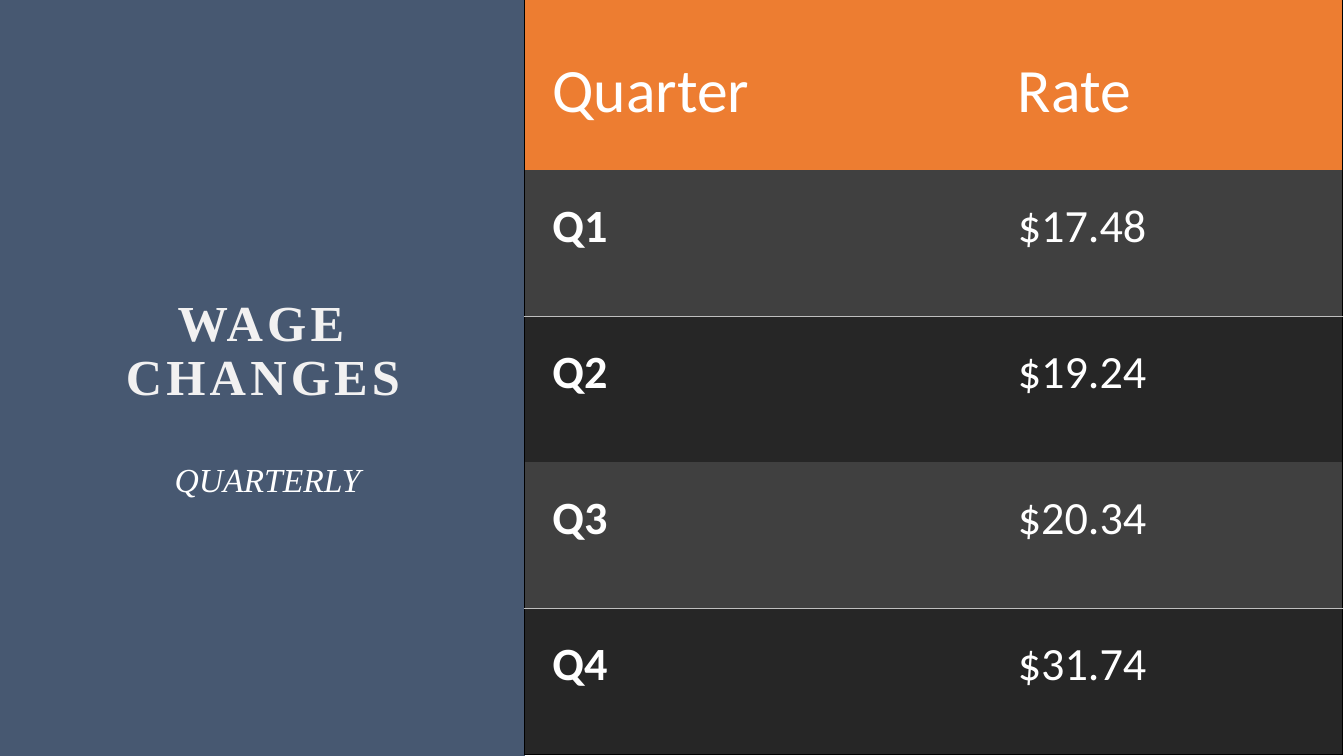
from typing import Any, NamedTuple

from lxml import etree
from pptx import Presentation
from pptx import util as u
from pptx.dml.color import RGBColor
from pptx.enum import shapes, text
from pptx.oxml import ns

COLORS = {
    "panel": "475871",
    "title": "F2F1F1",
    "white": "FFFFFF",
    "header": "ED7D31",
    "odd": "404040",
    "even": "262626",
    "frame": "000000",
    "rule": "BFBFBF",
}
SERIF, SANS = "Times New Roman", "Calibri"


class Frame(NamedTuple):
    left: float
    top: float
    width: float
    height: float


class Wage(NamedTuple):
    quarter: str
    rate: str


HEADING = Wage("Quarter", "Rate")
WAGES = [
    Wage("Q1", "$17.48"),
    Wage("Q2", "$19.24"),
    Wage("Q3", "$20.34"),
    Wage("Q4", "$31.74"),
]
COLUMN_WIDTHS = (11.73, 8.89)
HEADER_HEIGHT, ROW_HEIGHT = 4.34, 3.68


def write(frame: Any, wording: str, *, size: float, font: str = SANS,
          color: str = "white", bold: bool = False, italic: bool = False,
          align: Any = text.PP_ALIGN.LEFT, tracking: float = 0) -> Any:
    """Put one formatted run in a text frame and return its paragraph."""
    para = frame.paragraphs[0]
    para.alignment = align
    span = para.add_run()
    span.text = wording
    span.font.size = u.Pt(size)
    span.font.name = font
    span.font.bold = bold
    span.font.italic = italic
    span.font.color.rgb = RGBColor.from_string(COLORS[color])
    if tracking:
        span.font._element.set("spc", str(int(tracking * 100)))
    return para


def place(box: Any, frame: Frame, anchor: Any) -> None:
    """Move a placeholder and fix how its text sits."""
    box.left, box.top, box.width, box.height = map(u.Cm, frame)
    box.text_frame.auto_size = text.MSO_AUTO_SIZE.NONE
    box.text_frame.word_wrap = True
    box.text_frame.vertical_anchor = anchor


def set_borders(cell: Any, borders: dict[str, str]) -> None:
    """Draw the named sides of a cell and clear the others."""
    properties = cell._tc.get_or_add_tcPr()
    for side in "LRTB":
        line = etree.SubElement(properties, ns.qn(f"a:ln{side}"), w=str(u.Pt(1)))
        if side in borders:
            fill = etree.SubElement(line, ns.qn("a:solidFill"))
            etree.SubElement(fill, ns.qn("a:srgbClr"), val=COLORS[borders[side]])
        else:
            etree.SubElement(line, ns.qn("a:noFill"))


def borders_at(row: int, column: int) -> dict[str, str]:
    """Black frame around the table, grey rules inside each pair of rows."""
    borders = {"L": "frame"} if column == 0 else {"R": "frame"}
    if row == 0:
        borders["T"] = "frame"
    elif row % 2:
        borders["B"] = "rule"
    else:
        borders["T"] = "rule"
    if row == len(WAGES):
        borders["B"] = "frame"
    return borders


def add_panel(page: Any) -> None:
    panel = page.shapes.add_shape(
        shapes.MSO_SHAPE.RECTANGLE, 0, 0, u.Cm(13.23), u.Cm(19.05))
    panel.shadow.inherit = False
    panel.fill.solid()
    panel.fill.fore_color.rgb = RGBColor.from_string(COLORS["panel"])
    panel.line.fill.background()
    page.shapes.title.element.addprevious(panel.element)  # send to back


def add_headings(page: Any) -> None:
    title, body = page.shapes.title, page.placeholders[1]
    center = text.PP_ALIGN.CENTER

    place(title, Frame(2.39, 1.91, 8.48, 8.46), text.MSO_ANCHOR.BOTTOM)
    para = write(title.text_frame, "WAGE CHANGES", size=36, font=SERIF,
                 color="title", bold=True, align=center, tracking=3)
    para.line_spacing = 0.9

    place(body, Frame(2.59, 11.43, 8.31, 5.72), text.MSO_ANCHOR.TOP)
    para = write(body.text_frame, "QUARTERLY", size=24, font=SERIF,
                 italic=True, align=center)
    para.space_before = u.Pt(10)
    properties = para._p.get_or_add_pPr()
    properties.set("marL", "0")
    properties.set("indent", "0")
    etree.SubElement(properties, ns.qn("a:buNone"))


def add_wage_table(page: Any) -> None:
    rows = [HEADING, *WAGES]
    height = HEADER_HEIGHT + ROW_HEIGHT * len(WAGES)
    table = page.shapes.add_table(
        len(rows), len(COLUMN_WIDTHS), u.Cm(13.21), u.Cm(-0.05),
        u.Cm(sum(COLUMN_WIDTHS)), u.Cm(height)).table
    table.first_row = table.horz_banding = False
    for column, width in zip(table.columns, COLUMN_WIDTHS):
        column.width = u.Cm(width)

    for r, wage in enumerate(rows):
        is_header = r == 0
        table.rows[r].height = u.Cm(HEADER_HEIGHT if is_header else ROW_HEIGHT)
        fill = "header" if is_header else "odd" if r % 2 else "even"
        for c, wording in enumerate(wage):
            cell = table.cell(r, c)
            cell.margin_left = cell.margin_right = cell.margin_top = u.Cm(0.71)
            cell.margin_bottom = u.Cm(0.36)
            cell.vertical_anchor = (
                text.MSO_ANCHOR.MIDDLE if is_header else text.MSO_ANCHOR.TOP)
            set_borders(cell, borders_at(r, c))
            cell.fill.solid()
            cell.fill.fore_color.rgb = RGBColor.from_string(COLORS[fill])
            write(cell.text_frame, wording, size=44 if is_header else 33,
                  bold=not is_header and c == 0)


def main() -> None:
    deck = Presentation()
    deck.slide_width, deck.slide_height = u.Cm(33.87), u.Cm(19.05)
    page = deck.slides.add_slide(deck.slide_layouts[1])

    # Left side: coloured panel with title and subtitle
    add_panel(page)
    add_headings(page)

    # Right side: wage rate by quarter
    add_wage_table(page)

    deck.save("out.pptx")


if __name__ == "__main__":
    main()
